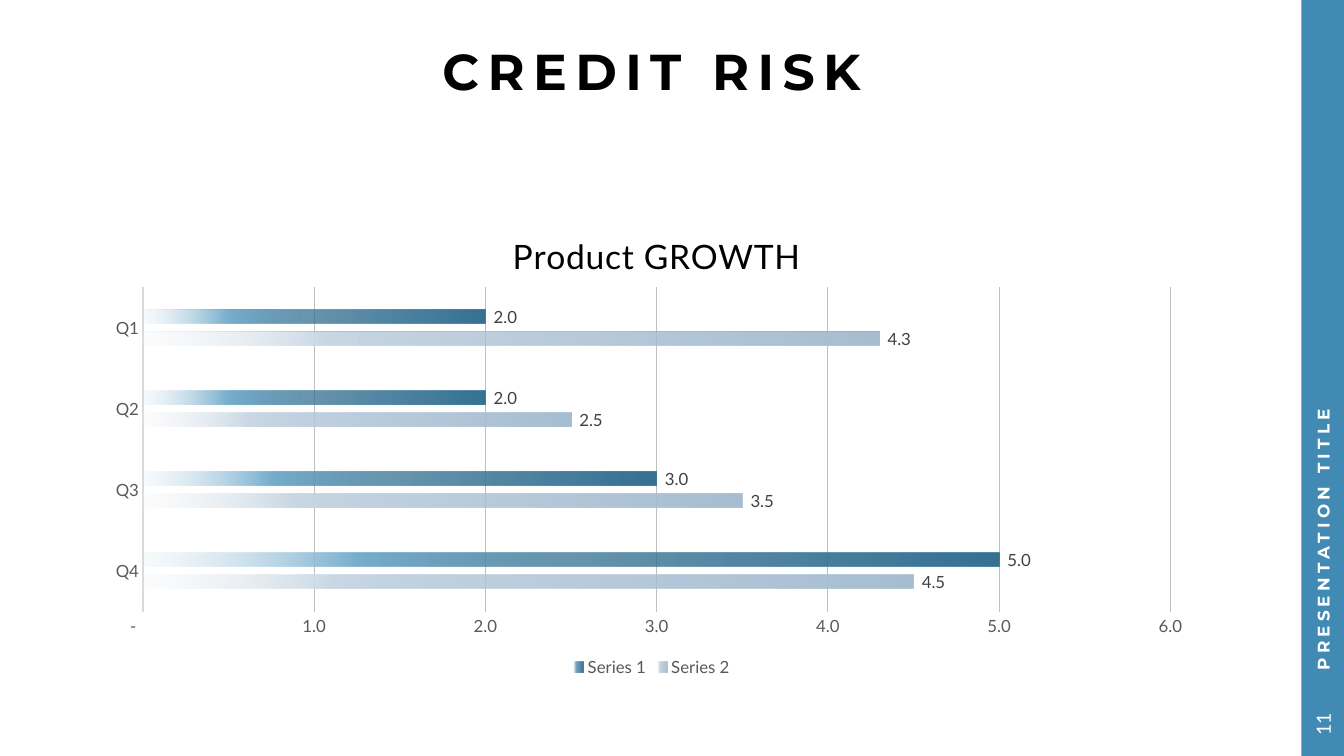
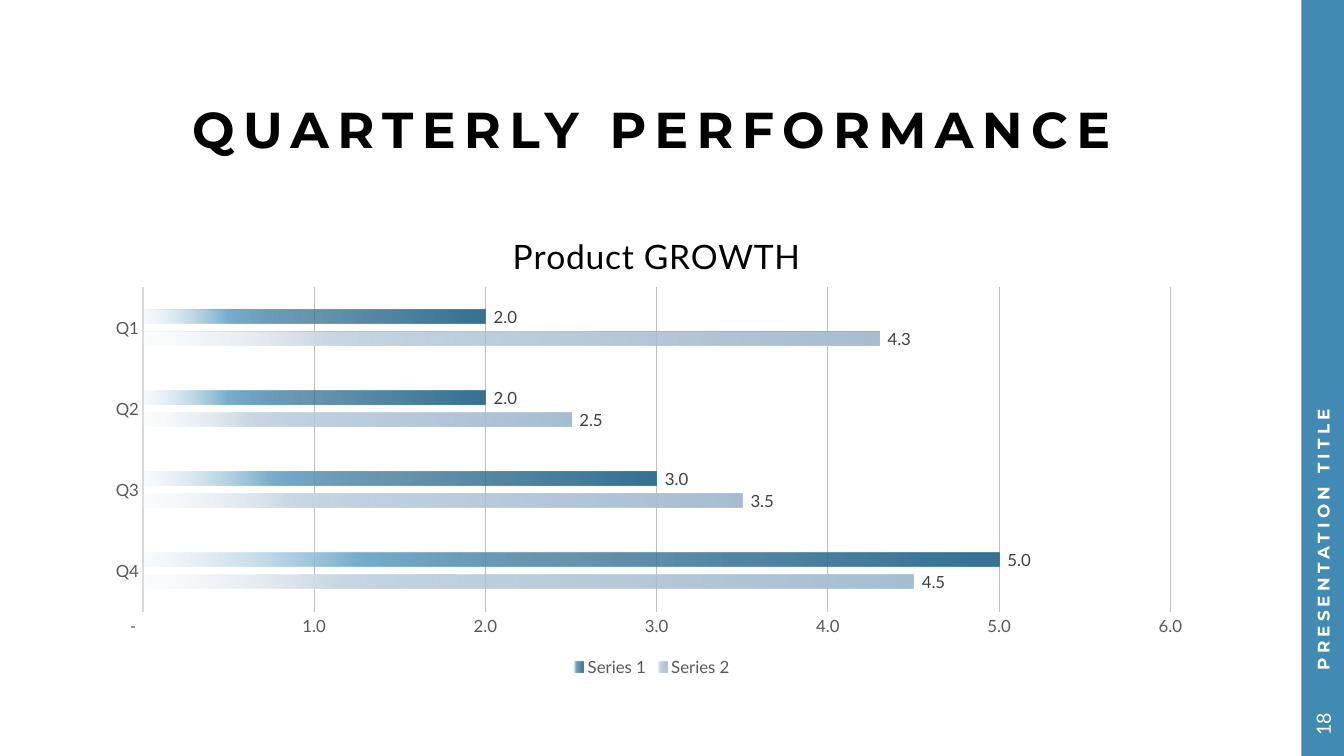
from pptx import Presentation
from pptx.chart.data import CategoryChartData
from pptx.dml.color import RGBColor
from pptx.enum import chart as chart_enum, shapes, text
from pptx.oxml import parse_xml
from pptx.oxml import ns
from pptx.util import Pt

# Shared look
SLIDE_WIDTH, SLIDE_HEIGHT = 960, 540
BAND_WIDTH = 30.5
BLACK, WHITE, BAND_BLUE = "000000", "FFFFFF", "418AB3"
AXIS_GREY, LABEL_GREY = "595959", "404040"
HEADING_FONT, BODY_FONT = "Montserrat", "Lato"
NUMBER_FORMAT = r'_(* #,##0.0_);_(* \(#,##0.0\);_(* "-"??_);_(@_)'
CHART_BOX = (67, 144, 797, 342.5)

# Chart content: name, values, gradient stops (position, colour, opacity)
CATEGORIES = ["Q4", "Q3", "Q2", "Q1"]
SERIES = [
    ("Series 2", (4.5, 3.5, 2.5, 4.3),
     [(0, "A7BED2", 100), (51, "A7BED2", 75), (75, "CAD8E4", 100), (100, "EDF2F6", 15)]),
    ("Series 1", (5, 3, 2, 2),
     [(0, "367294", 100), (51, "367294", 75), (75, "78AFCE", 100), (100, "D2E4EF", 15)]),
]

# Title, top of the title, slide number
SLIDES = [("CREDIT RISK", 27.5, 11), ("QUARTERLY PERFORMANCE", 69, 18)]


def color(hex_value):
    return RGBColor.from_string(hex_value)


def style_font(font, size, hex_value, name=BODY_FONT, bold=False):
    font.size, font.name, font.bold = Pt(size), name, bold
    font.color.rgb = color(hex_value)


def set_spacing(run, points):
    run.font._element.set("spc", str(int(points * 100)))


def add_text(slide, box, words, size, hex_value, name=BODY_FONT, bold=False,
             spacing=0, align=text.PP_ALIGN.CENTER, insets=(7.2, 3.6, 7.2, 3.6), rotation=0):
    shape = slide.shapes.add_textbox(*map(Pt, box))
    shape.rotation = rotation
    frame = shape.text_frame
    frame.word_wrap = True
    frame.vertical_anchor = text.MSO_ANCHOR.MIDDLE
    (frame.margin_left, frame.margin_top,
     frame.margin_right, frame.margin_bottom) = map(Pt, insets)
    frame.text = words
    paragraph = frame.paragraphs[0]
    paragraph.alignment = align
    run = paragraph.runs[0]
    style_font(run.font, size, hex_value, name, bold)
    set_spacing(run, spacing)
    return paragraph


def add_title(slide, title, top):
    paragraph = add_text(slide, (67, top, 797, 51), title, 36, BLACK, HEADING_FONT,
                         bold=True, spacing=6, insets=(0, 0, 0, 0))
    paragraph.line_spacing = 0.9


def add_side_band(slide, left, width, number):
    band = slide.shapes.add_shape(shapes.MSO_SHAPE.RECTANGLE, Pt(left), Pt(0),
                                  Pt(width), Pt(SLIDE_HEIGHT))
    band.shadow.inherit = False
    band.fill.solid()
    band.fill.fore_color.rgb = color(BAND_BLUE)
    band.line.fill.background()

    # Boxes turned to read upwards, centred on the band
    def upward_box(length, center_y):
        center_x = left + width / 2 + 0.3
        return center_x - length / 2, center_y - width / 2, length, width

    add_text(slide, upward_box(495.5, 247.5), "PRESENTATION TITLE", 12, WHITE, HEADING_FONT,
             bold=True, spacing=3, align=text.PP_ALIGN.LEFT,
             insets=(16.5, 3.6, 7.2, 3.6), rotation=270)
    add_text(slide, upward_box(44.5, 517.5), str(number), 14, WHITE, rotation=270)


def set_layout(parent, index, target="", **fractions):
    """Place a chart part by fractions of the chart's box."""
    for old in parent.findall(ns.qn("c:layout")):
        parent.remove(old)
    modes = "".join(f'<c:{key}Mode val="edge"/>' for key in fractions if key in "xy")
    values = "".join(f'<c:{key} val="{value}"/>' for key, value in fractions.items())
    parent.insert(index, parse_xml(
        f'<c:layout {ns.nsdecls("c")}><c:manualLayout>{target}{modes}{values}'
        '</c:manualLayout></c:layout>'))


def fill_gradient(series, stops):
    stop_xml = "".join(
        f'<a:gs pos="{position * 1000}"><a:srgbClr val="{hex_value}">'
        f'<a:alpha val="{opacity * 1000}"/></a:srgbClr></a:gs>'
        for position, hex_value, opacity in stops)
    properties = series.format._element.get_or_add_spPr()
    properties.insert(0, parse_xml(
        f'<a:gradFill {ns.nsdecls("a")}><a:gsLst>{stop_xml}</a:gsLst>'
        '<a:lin ang="10800000" scaled="0"/></a:gradFill>'))


def add_growth_chart(slide, box):
    data = CategoryChartData(number_format=NUMBER_FORMAT)
    data.categories = CATEGORIES
    for name, values, _ in SERIES:
        data.add_series(name, values)
    chart = slide.shapes.add_chart(chart_enum.XL_CHART_TYPE.BAR_CLUSTERED,
                                   *map(Pt, box), data).chart
    style_font(chart.font, 10, BLACK)

    # Title and plot area
    chart.has_title = True
    title = chart.chart_title
    title.text_frame.text = "Product GROWTH"
    run = title.text_frame.paragraphs[0].runs[0]
    style_font(run.font, 24, BLACK)
    set_spacing(run, 0.5)
    title.include_in_layout = False
    set_layout(title._element, 1, x=0.37, y=0.05)
    set_layout(chart._chartSpace.chart.plotArea, 0, '<c:layoutTarget val="inner"/>',
               x=0.044, y=0.178, w=0.921, h=0.677)

    # Legend
    chart.has_legend = True
    chart.legend.position = chart_enum.XL_LEGEND_POSITION.BOTTOM
    chart.legend.include_in_layout = False
    style_font(chart.legend.font, 12, AXIS_GREY)

    # Axes
    for axis in (chart.category_axis, chart.value_axis):
        axis.major_tick_mark = axis.minor_tick_mark = chart_enum.XL_TICK_MARK.NONE
        style_font(axis.tick_labels.font, 12, AXIS_GREY)
    category_line = chart.category_axis.format.line
    category_line.color.rgb = color("D9D9D9")
    category_line.width = Pt(1.5)
    value_axis = chart.value_axis
    value_axis.minimum_scale, value_axis.maximum_scale, value_axis.major_unit = 0, 6, 1
    value_axis.format.line.fill.background()
    value_axis.tick_labels.number_format = NUMBER_FORMAT
    value_axis.tick_labels.number_format_is_linked = False
    grid_line = value_axis.major_gridlines.format.line
    grid_line.color.rgb = color("BFBFBF")
    grid_line.width = Pt(0.75)

    # Bars and their labels
    plot = chart.plots[0]
    plot.gap_width, plot.overlap, plot.vary_by_categories = 326, -58, False
    for series, (_, _, stops) in zip(plot.series, SERIES):
        fill_gradient(series, stops)
        labels = series.data_labels
        labels.show_value = True
        labels.position = chart_enum.XL_LABEL_POSITION.OUTSIDE_END
        labels.number_format = NUMBER_FORMAT
        labels.number_format_is_linked = False
        style_font(labels.font, 12, LABEL_GREY)


def add_chart_slide(presentation, title, title_top, number):
    slide = presentation.slides.add_slide(presentation.slide_layouts[6])
    add_side_band(slide, SLIDE_WIDTH - BAND_WIDTH, BAND_WIDTH, number)
    add_title(slide, title, title_top)
    add_growth_chart(slide, CHART_BOX)


def main():
    presentation = Presentation()
    presentation.slide_width, presentation.slide_height = Pt(SLIDE_WIDTH), Pt(SLIDE_HEIGHT)
    for content in SLIDES:
        add_chart_slide(presentation, *content)
    presentation.save("out.pptx")


if __name__ == "__main__":
    main()
